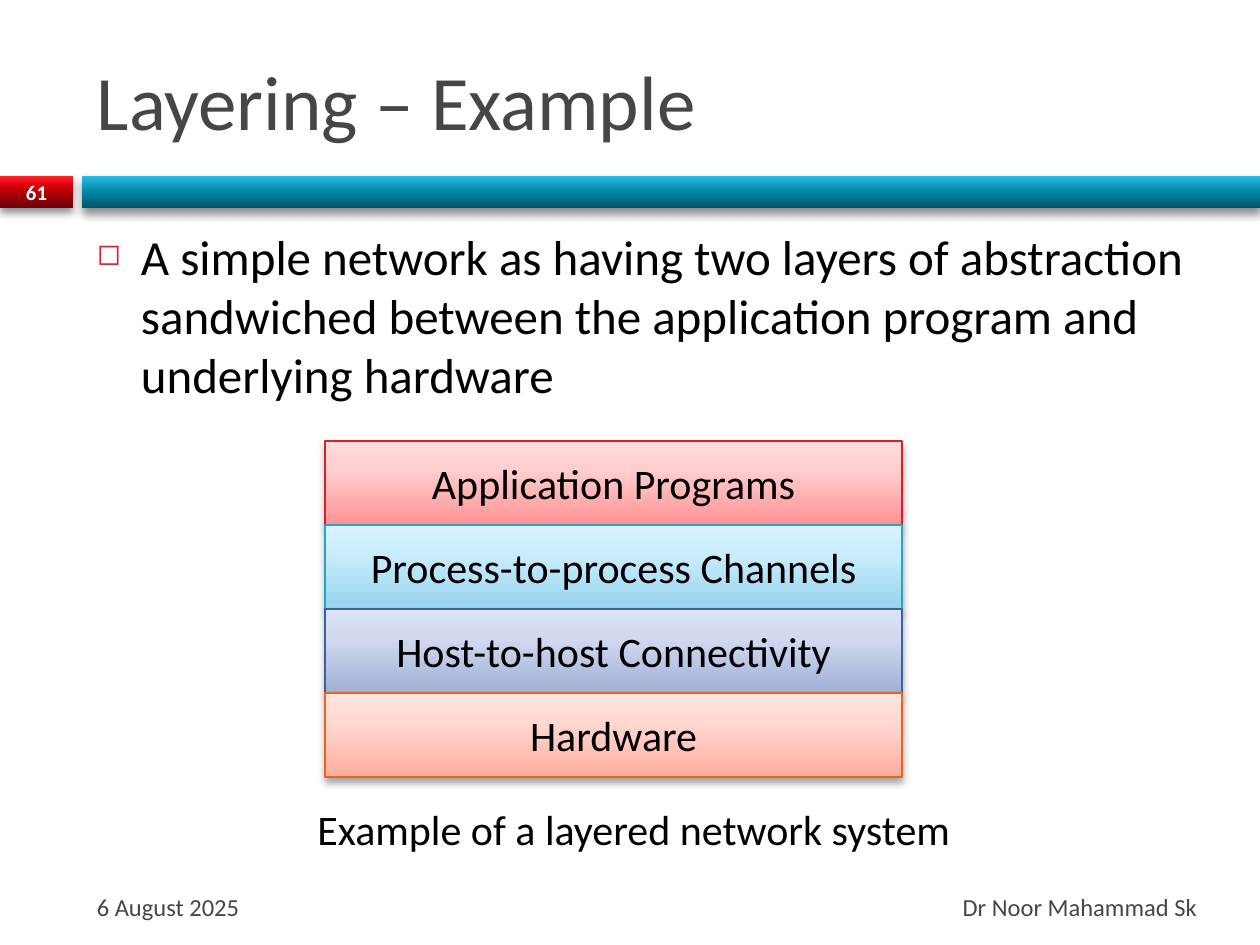
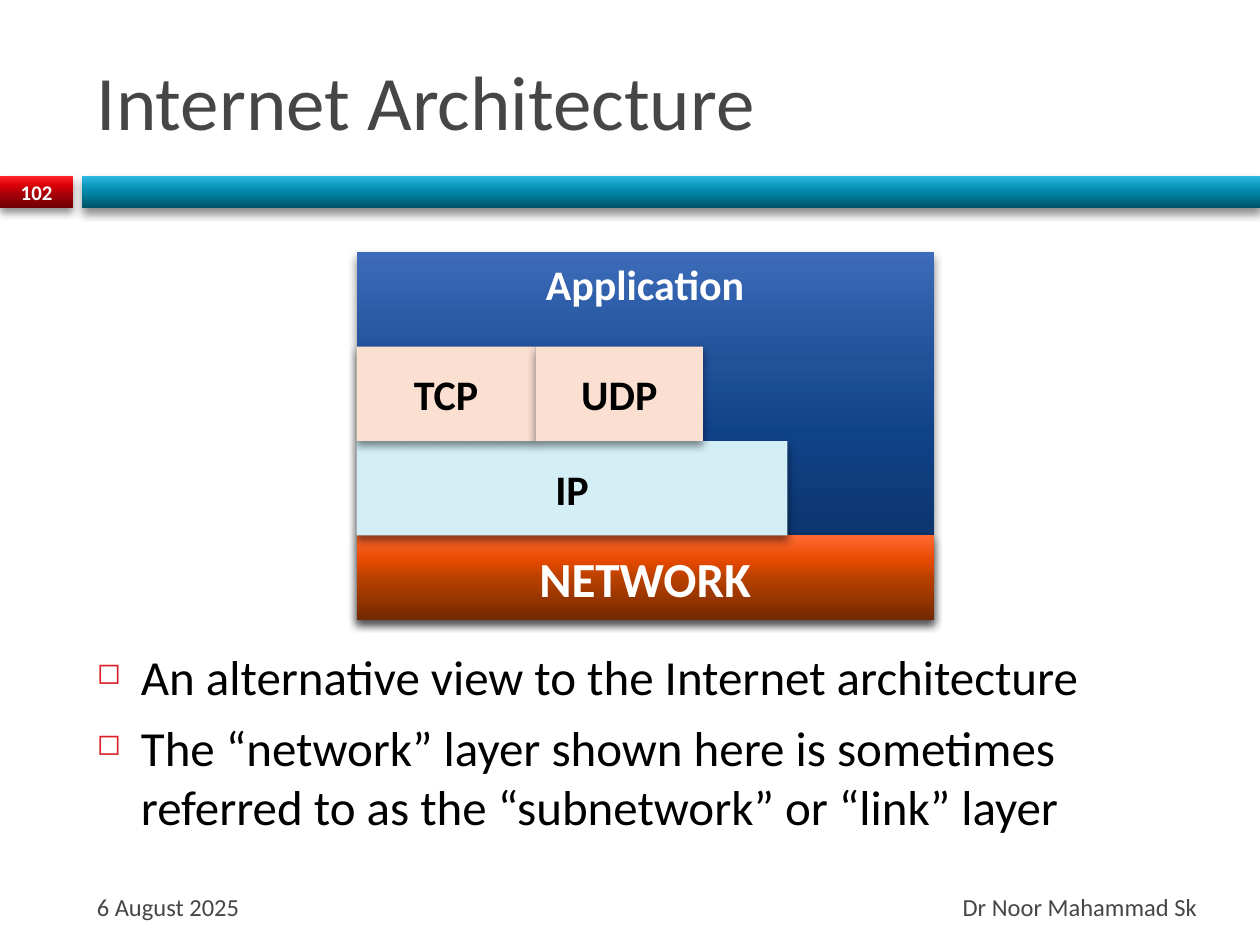
from dataclasses import dataclass

from lxml import etree
from pptx import Presentation
from pptx.dml.color import RGBColor
from pptx.enum.shapes import MSO_SHAPE
from pptx.enum.text import MSO_ANCHOR, PP_ALIGN
from pptx.oxml.ns import qn
from pptx.util import Inches, Pt

RECT = MSO_SHAPE.RECTANGLE
TOP, MIDDLE = MSO_ANCHOR.TOP, MSO_ANCHOR.MIDDLE
LEFT, CENTER, RIGHT = PP_ALIGN.LEFT, PP_ALIGN.CENTER, PP_ALIGN.RIGHT


@dataclass(frozen=True)
class Theme:
    font: str = "Calibri"
    ink: str = "000000"
    grey: str = "464646"
    white: str = "FFFFFF"
    accent: str = "DA1F28"
    sky: str = "D3EEF5"
    peach: str = "FBE0D1"
    title_size: float = 44
    body_size: float = 28
    label_size: float = 24
    footer_size: float = 14
    number_size: float = 11.9
    deep_stops: tuple = (0, 50, 70, 100)
    pale_stops: tuple = (0, 65, 100)
    deep_shadow: tuple = (45, 5, 3)
    pale_shadow: tuple = (35, 4, 3)


THEME = Theme()

RED = ("6D0005", "B00008", "DA0008", "FF2429")
TEAL = ("005367", "0086A7", "0E9ABE", "2CB9E3")
BLUE = ("072956", "104288", "205199", "3D6BB9")
ORANGE = ("732800", "B94100", "E64900", "FF6933")

DATE = "6 August 2025"
AUTHOR = "Dr Noor Mahammad Sk"

LAYERING = {
    "title": "Layering – Example",
    "number": "61",
    "body_at": (0.67, 1.75, 8.92, 4.92),
    "points": [
        "A simple network as having two layers of abstraction sandwiched "
        "between the application program and underlying hardware",
    ],
}
LAYERS = [
    ("Application Programs", ("FF9294", "FFCDCD", "FFDCDC"), "DA1F28"),
    ("Process-to-process Channels", ("96D4EE", "C9ECFC", "D7F2FF"), "2DA2BF"),
    ("Host-to-host Connectivity", ("9FAFD6", "D0D9EF", "DCE3F6"), "39639D"),
    ("Hardware", ("FFAC9C", "FFD8D2", "FFE4DF"), "EB641B"),
]
LAYERS_CAPTION = "Example of a layered network system"

INTERNET = {
    "title": "Internet Architecture",
    "number": "102",
    "body_at": (0.67, 5.08, 8.92, 1.58),
    "points": [
        "An alternative view to the Internet architecture",
        "The “network” layer shown here is sometimes referred to as "
        "the “subnetwork” or “link” layer",
    ],
}
STACK_WIDTH = 4.58
STACK_LEFT, STACK_TOP, ROW = 2.83, 2, 0.75
PROTOCOLS = [
    ("Application", 0, 0, STACK_WIDTH, 2.92, BLUE, THEME.white, THEME.label_size, TOP),
    ("NETWORK", 0, 3, STACK_WIDTH, 0.67, ORANGE, THEME.white, THEME.body_size, MIDDLE),
    ("IP", 0, 2, 3.42, ROW, THEME.sky, THEME.ink, THEME.label_size, MIDDLE),
    ("TCP", 0, 1, 1.42, ROW, THEME.peach, THEME.ink, THEME.label_size, MIDDLE),
    ("UDP", 1.42, 1, 1.33, ROW, THEME.peach, THEME.ink, THEME.label_size, MIDDLE),
]


def set_all(target, values):
    for name, value in values.items():
        setattr(target, name, value)


def add_child(parent, tag, **attributes):
    return etree.SubElement(parent, qn(tag), attributes)


def write(shape, lines, size, color, align=LEFT, anchor=MIDDLE, bold=False, bullets=False):
    frame = shape.text_frame
    set_all(frame, {"word_wrap": True, "vertical_anchor": anchor})
    for index, line in enumerate(lines):
        paragraph = frame.add_paragraph() if index else frame.paragraphs[0]
        paragraph.text = line
        paragraph.alignment = align
        if bullets:
            add_bullet(paragraph)
        if index:
            paragraph.space_before = Pt(7)
        set_all(paragraph.font, {"name": THEME.font, "size": Pt(size), "bold": bold})
        paragraph.font.color.rgb = RGBColor.from_string(color)


def add_bullet(paragraph):
    properties = paragraph._p.get_or_add_pPr()
    hanging = Inches(0.35)
    properties.set("marL", str(hanging))
    properties.set("indent", str(-hanging))
    add_child(add_child(properties, "a:buClr"), "a:srgbClr", val=THEME.accent)
    add_child(properties, "a:buSzPct", val="60000")
    add_child(properties, "a:buChar", char="◻")


def add_text(slide, at, lines, size, color, **style):
    box = slide.shapes.add_textbox(*map(Inches, at))
    write(box, lines, size, color, **style)


def fill_gradient(shape, colors):
    shape.fill.gradient()
    shape.fill.gradient_angle = 90
    stops = shape._element.spPr.find(qn("a:gradFill")).find(qn("a:gsLst"))
    for stop in list(stops):
        stops.remove(stop)
    places = THEME.deep_stops if len(colors) == 4 else THEME.pale_stops
    for place, color in zip(places, colors):
        stop = add_child(stops, "a:gs", pos=str(place * 1000))
        add_child(stop, "a:srgbClr", val=color)


def cast_shadow(shape, shadow):
    opacity, blur, distance = shadow
    shape.shadow.inherit = False
    effects = shape._element.spPr.find(qn("a:effectLst"))
    outer = add_child(effects, "a:outerShdw", blurRad=str(Pt(blur)), dist=str(Pt(distance)),
                      dir="5400000", rotWithShape="0")
    color = add_child(outer, "a:srgbClr", val=THEME.ink)
    add_child(color, "a:alpha", val=str(opacity * 1000))


def add_block(shapes, at, fill, shadow=THEME.deep_shadow, outline=None):
    block = shapes.add_shape(RECT, *map(Inches, at))
    if isinstance(fill, tuple):
        fill_gradient(block, fill)
    else:
        block.fill.solid()
        block.fill.fore_color.rgb = RGBColor.from_string(fill)
    if outline:
        block.line.color.rgb = RGBColor.from_string(outline)
        block.line.width = Pt(0.75)
    else:
        block.line.fill.background()
    cast_shadow(block, shadow)
    return block


def add_base(deck, content):
    slide = deck.slides.add_slide(deck.slide_layouts[6])
    add_block(slide.shapes, (0, 1.4, 0.58, 0.25), RED)
    add_block(slide.shapes, (0.65, 1.4, 9.35, 0.25), TEAL)
    add_text(slide, (0.67, 0.25, 8.92, 1.08), [content["title"]], THEME.title_size, THEME.grey)
    add_text(slide, content["body_at"], content["points"], THEME.body_size, THEME.ink,
             anchor=TOP, bullets=True)
    add_text(slide, (0.67, 7, 2.92, 0.4), [DATE], THEME.footer_size, THEME.grey)
    add_text(slide, (0, 1.39, 0.58, 0.27), [content["number"]], THEME.number_size,
             THEME.white, align=CENTER, bold=True)
    add_text(slide, (3.67, 7, 5.93, 0.4), [AUTHOR], THEME.footer_size, THEME.grey, align=RIGHT)
    return slide


def build_layering(deck):
    slide = add_base(deck, LAYERING)
    layers = slide.shapes.add_group_shape().shapes
    height = 2 / 3
    for index, (label, colors, outline) in enumerate(LAYERS):
        at = (2.58, 3.5 + index * height, STACK_WIDTH, height)
        layer = add_block(layers, at, colors, THEME.pale_shadow, outline)
        write(layer, [label], THEME.label_size, THEME.ink, align=CENTER)
    add_text(slide, (2.42, 6.33, 5.92, 0.5), [LAYERS_CAPTION], THEME.label_size, THEME.ink,
             anchor=TOP)


def build_internet(deck):
    slide = add_base(deck, INTERNET)
    stack = slide.shapes.add_group_shape().shapes
    for label, offset, row, width, height, fill, color, size, anchor in PROTOCOLS:
        at = (STACK_LEFT + offset, STACK_TOP + row * ROW, width, height)
        protocol = add_block(stack, at, fill)
        write(protocol, [label], size, color, align=CENTER, anchor=anchor, bold=True)


def main():
    deck = Presentation()
    set_all(deck, {"slide_width": Inches(10), "slide_height": Inches(7.5)})
    build_layering(deck)
    build_internet(deck)
    deck.save("out.pptx")


if __name__ == "__main__":
    main()
